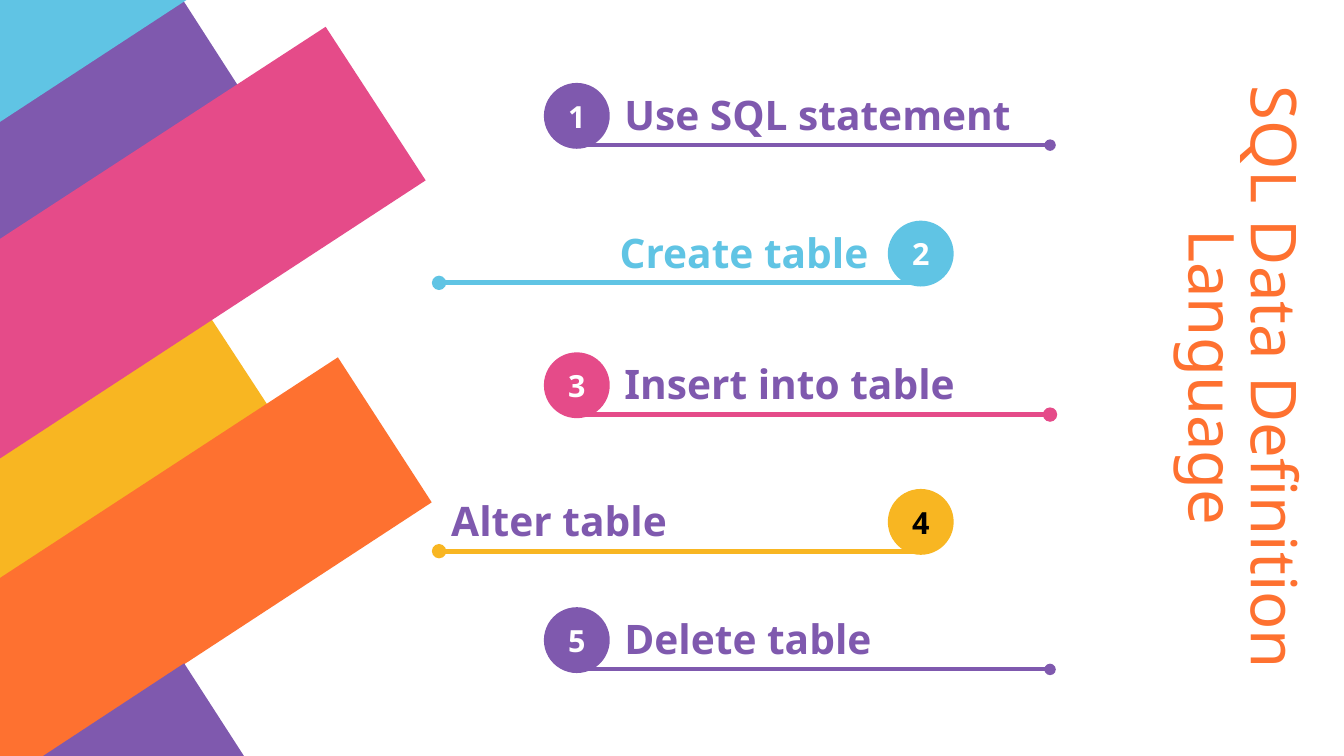
from lxml.etree import SubElement
from pptx import Presentation
from pptx.dml.color import RGBColor
from pptx.enum.shapes import MSO_CONNECTOR, MSO_SHAPE
from pptx.enum.text import MSO_ANCHOR, PP_ALIGN
from pptx.oxml.ns import qn
from pptx.util import Inches, Pt

SLIDE_WIDTH, SLIDE_HEIGHT = Inches(11.02), Inches(6.2)
FONT = "Noto Sans"
PURPLE, YELLOW, PINK = "7F59AE", "F8B622", "E54B89"
ORANGE, BLUE, WHITE, BLACK = "FE7130", "60C4E4", "FFFFFF", "000000"

# Stripe corners, in columns and rows of the 100 by 100 grid
STRIPES = [
    (PURPLE, [(13.52, 0), (0, 15.65), (0, 34.35), (18.33, 13.06), (13.61, 0)]),
    (YELLOW, [(15.34, 41.13), (0, 58.87), (0, 76.77), (19.96, 53.71)]),
    (PINK, [(24.23, 3.55), (0, 31.61), (0, 60.65), (31.67, 23.87)]),
    (ORANGE, [(25.14, 47.26), (0, 76.45), (0, 100), (3.27, 100), (32.12, 66.45)]),
    (PURPLE, [(13.7, 87.74), (3.2, 100), (18.15, 100)]),
    (BLUE, [(0, 0), (0, 16.13), (13.88, 0)]),
]

# Number circle, dotted line end and label start for each side, in columns
SIDES = {
    "left": {"circle": 40.47, "dot": 78.13, "label": 46.46},
    "right": {"circle": 66.06, "dot": 32.67, "label": 33.58},
}

# Top row, side, accent, number colour, label, label colour, alignment, line width
STEPS = [
    (10.97, "left", PURPLE, WHITE, "Use SQL statement", PURPLE, PP_ALIGN.LEFT, 2.27),
    (29.19, "right", BLUE, WHITE, "Create table", BLUE, PP_ALIGN.RIGHT, 2.83),
    (46.61, "left", PINK, WHITE, "Insert into table", PURPLE, PP_ALIGN.LEFT, 2.83),
    (64.68, "right", YELLOW, BLACK, "Alter table", PURPLE, PP_ALIGN.LEFT, 2.83),
    (80.32, "left", PURPLE, WHITE, "Delete table", PURPLE, PP_ALIGN.LEFT, 2.27),
]


def col(count):
    return round(SLIDE_WIDTH * count / 100)


def row(count):
    return round(SLIDE_HEIGHT * count / 100)


def color(hex_code):
    return RGBColor.from_string(hex_code)


def apply(target, values):
    for name, value in values.items():
        setattr(target, name, value)


def paint(shape, fill):
    shape.shadow.inherit = False
    shape.fill.solid()
    shape.fill.fore_color.rgb = color(fill)
    shape.line.fill.background()


def write(shape, text, size, ink, align, bold=True, wrap=True, spacing=1.0):
    frame = shape.text_frame
    apply(frame, {"word_wrap": wrap, "vertical_anchor": MSO_ANCHOR.MIDDLE,
                  "margin_left": 0, "margin_right": 0,
                  "margin_top": 0, "margin_bottom": 0})
    paragraph = frame.paragraphs[0]
    apply(paragraph, {"alignment": align, "line_spacing": spacing})
    run = paragraph.add_run()
    run.text = text
    apply(run.font, {"name": FONT, "size": Pt(size), "bold": bold})
    run.font.color.rgb = color(ink)


def add_stripes(shapes):
    for fill, corners in STRIPES:
        first, *others = [(col(x), row(y)) for x, y in corners]
        outline = shapes.build_freeform(*first)
        outline.add_line_segments(others, close=True)
        paint(outline.convert_to_shape(), fill)


def add_step(shapes, number, top, side, accent, number_ink, label, label_ink, align, weight):
    place = SIDES[side]
    diameter = col(4.9)
    circle_left = col(place["circle"])
    line_top = row(top + 8.23)

    # Number circle
    circle = shapes.add_shape(MSO_SHAPE.OVAL, circle_left, row(top), diameter, diameter)
    paint(circle, accent)
    write(circle, str(number), 18, number_ink, PP_ALIGN.CENTER, wrap=False)

    # Underline with a dot at its outer end
    underline = shapes.add_connector(MSO_CONNECTOR.STRAIGHT, col(place["dot"]), line_top,
                                     circle_left + diameter // 2, line_top)
    underline.line.color.rgb = color(accent)
    underline.line.width = Pt(weight)
    SubElement(underline.line._get_or_add_ln(), qn("a:headEnd"), type="oval")
    SubElement(underline._element.spPr, qn("a:effectLst"))

    # Label
    caption = shapes.add_textbox(col(place["label"]), row(top), col(31.03), row(8.23))
    write(caption, label, 24, label_ink, align)


def add_title(shapes, left, top, width, height):
    title = shapes.add_textbox(left, top, width, height)
    title.rotation = 90
    write(title, "SQL Data Definition Language", 37.4, ORANGE, PP_ALIGN.CENTER,
          bold=False, spacing=0.82)


def main():
    deck = Presentation()
    apply(deck, {"slide_width": SLIDE_WIDTH, "slide_height": SLIDE_HEIGHT})
    shapes = deck.slides.add_slide(deck.slide_layouts[6]).shapes
    add_stripes(shapes)
    for number, step in enumerate(STEPS, 1):
        add_step(shapes, number, *step)
    add_title(shapes, col(67.6), row(40), col(49.09), row(19.84))
    deck.save("out.pptx")


if __name__ == "__main__":
    main()
